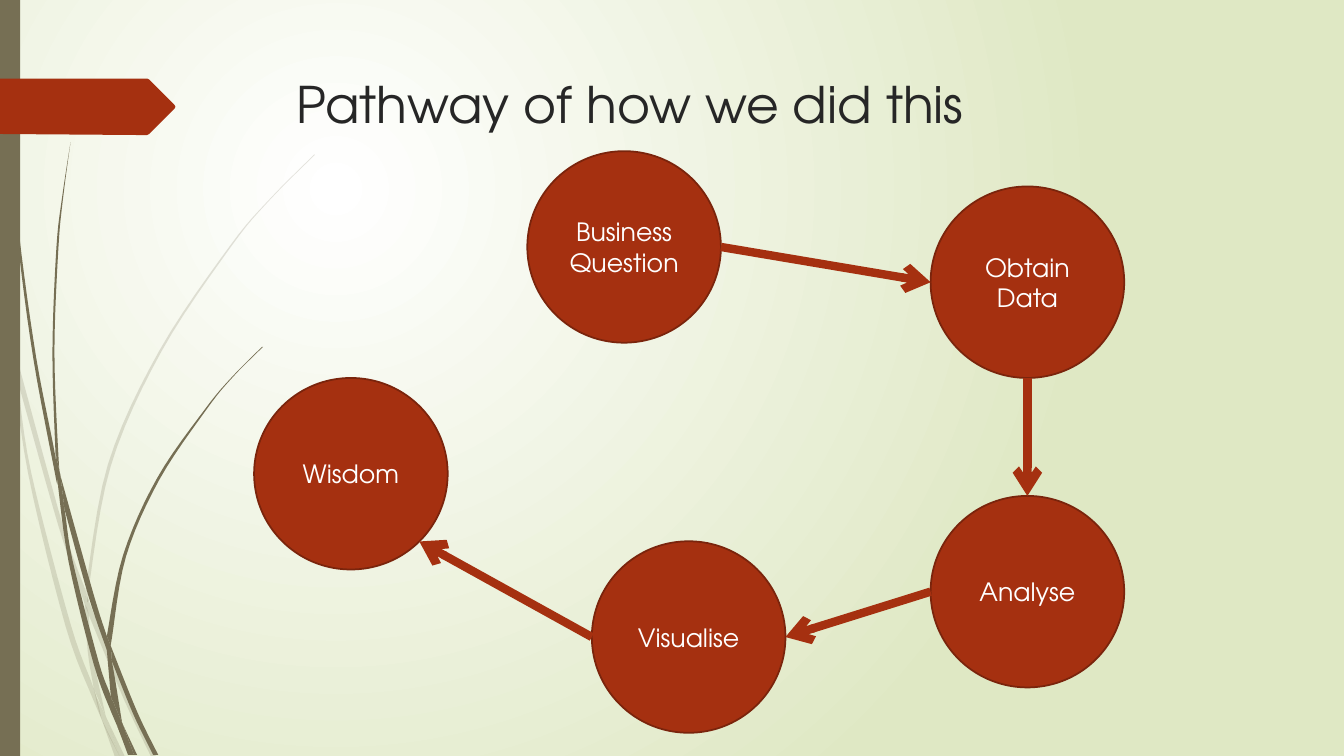
from math import cos, radians, sin

from lxml.etree import SubElement
from pptx import Presentation
from pptx.dml.color import RGBColor
from pptx.enum.shapes import MSO_CONNECTOR as Connector, MSO_SHAPE as Shape
from pptx.enum.text import MSO_ANCHOR as Anchor, PP_ALIGN as Align
from pptx.oxml.ns import qn
from pptx.util import Inches, Pt

FONT = "TeX Gyre Adventor"
COLORS = {
    "white": "FFFFFF", "pale green": "DFE8C4", "olive": "766F54",
    "rust": "A53010", "dark rust": "7A240C", "title": "262626",
}
CIRCLE_WIDTH, CIRCLE_HEIGHT = 1.92, 1.9
RIGHT, BOTTOM_RIGHT, BOTTOM, LEFT, TOP = 0, 45, 90, 180, 270

# Circles: left, top, paragraphs; a vertical tab is a line break
STEPS = {
    "question": (5.23, 1.5, ["Business", "Question"]),
    "data": (9.23, 1.85, ["Obtain\vData"]),
    "analyse": (9.23, 4.92, ["Analyse"]),
    "visualise": (5.87, 5.37, ["Visualise"]),
    "wisdom": (2.52, 3.75, ["Wisdom"]),
}
# Arrows: circle and angle where each starts and ends
ARROWS = [
    ("question", RIGHT, "data", LEFT),
    ("data", BOTTOM, "analyse", TOP),
    ("analyse", LEFT, "visualise", RIGHT),
    ("visualise", LEFT, "wisdom", BOTTOM_RIGHT),
]
# Grass blades: one edge, then the other edge back to the start
FAINT_BLADES = [
    ([(0, 2.82), (.09, 3.22), (.11, 3.5)], [(.1, 3.44), (0, 2.99)]),
    ([(.14, 3.45), (.62, 5.2), (.85, 5.86)], [(.84, 5.99), (.58, 5.22), (.17, 3.76)]),
    ([(.88, 5.96), (1.27, 6.92), (1.55, 7.51)], [(1.5, 7.51), (1.23, 6.94), (.88, 6.1)]),
    ([(1.05, 7.11), (1.24, 7.51)], [(1.19, 7.51)]),
    ([(.11, 3.5), (.17, 3.76), (.31, 4.69), (.7, 6.19), (.93, 6.83), (1.01, 7.14)],
     [(.92, 6.93), (.65, 6.21), (.28, 4.7), (.11, 3.5)]),
    ([(.84, 5.99), (.88, 6.1), (.91, 6.46), (1.05, 7.11)], [(.93, 6.83), (.87, 6.46), (.84, 5.99)]),
    ([(.88, 5.96), (.88, 5.84), (1.1, 4.62), (1.6, 3.49), (2.29, 2.45), (2.68, 1.98), (3.12, 1.54)],
     [(3.12, 1.53), (2.68, 1.97), (2.28, 2.44), (1.58, 3.48), (1.07, 4.61), (.85, 5.84)]),
    ([(1.01, 7.14), (1.14, 7.51)], [(1.19, 7.51), (1.01, 7.14)]),
    ([(.84, 5.99), (.88, 6.1)], [(.88, 5.96), (.85, 5.86)]),
    ([(.93, 6.83), (1.01, 7.14), (1.19, 7.51)], [(1.05, 7.11), (.96, 6.92)]),
]
DARK_BLADES = [
    ([(.04, 0), (.05, .48), (.08, 1.09), (.19, 2.32), (.36, 3.55), (.55, 4.53), (.57, 4.81)],
     [(.56, 4.77), (.33, 3.55), (.17, 2.33), (.07, 1.1), (.04, .48), (.03, 0)]),
    ([(.6, 4.72), (.93, 5.9), (1.06, 6.31)], [(1.06, 6.45), (.88, 5.92), (.64, 5.05)]),
    ([(1.1, 6.41), (1.36, 7.06), (1.57, 7.49)], [(1.52, 7.49), (1.32, 7.08), (1.11, 6.56)]),
    ([(.57, 4.77), (.64, 5.05), (.72, 5.56), (.98, 6.57), (1.1, 6.91), (1.17, 7.22)],
     [(1.11, 7.08), (.93, 6.59), (.68, 5.57), (.57, 4.77)]),
    ([(.7, 1.41), (.63, 1.93), (.58, 2.45), (.54, 3.49), (.58, 4.53), (.6, 4.72)],
     [(.55, 4.49), (.52, 3.49), (.56, 2.45), (.62, 1.93), (.7, 1.41)]),
    ([(1.22, 7.19), (1.36, 7.49)], [(1.33, 7.49)]),
    ([(.55, 4.49), (.57, 4.77), (.64, 5.05)], [(.6, 4.72)]),
    ([(1.1, 6.41), (1.11, 6.33), (1.25, 5.52), (1.58, 4.76), (2.05, 4.06), (2.31, 3.74), (2.61, 3.44)],
     [(2.6, 3.44), (2.31, 3.73), (2.04, 4.05), (1.56, 4.74), (1.22, 5.51), (1.06, 6.31)]),
    ([(1.17, 7.22), (1.27, 7.49)], [(1.31, 7.49)]),
    ([(1.06, 6.45), (1.11, 6.56), (1.21, 7.16), (1.22, 7.19)], [(1.1, 6.91), (1.06, 6.45)]),
    ([(1.06, 6.31), (1.06, 6.45)], [(1.11, 6.56), (1.1, 6.41)]),
    ([(1.1, 6.91), (1.17, 7.22), (1.3, 7.49)], [(1.33, 7.49), (1.22, 7.19)]),
]
TAB = [(0, .78), (1.46, .78), (1.48, .79), (1.73, 1.04), (1.74, 1.06),
       (1.73, 1.08), (1.48, 1.33), (1.46, 1.34), (1.36, 1.34), (0, 1.33)]


def rgb(name):
    return RGBColor.from_string(COLORS[name])


def paint(shape, color, outline=None):
    shape.shadow.inherit = False
    shape.fill.solid()
    shape.fill.fore_color.rgb = rgb(color)
    if outline:
        shape.line.color.rgb = rgb(outline)
        shape.line.width = Pt(1.25)
    else:
        shape.line.fill.background()


def add_run(paragraph, text, size, color):
    run = paragraph.add_run()
    run.text = text
    run.font.name = FONT
    run.font.size = Pt(size)
    run.font.color.rgb = rgb(color)


def set_background(slide):
    fill = slide.background.fill
    fill.gradient()
    for stop, color in zip(fill.gradient_stops, ("white", "pale green")):
        stop.color.rgb = rgb(color)
    linear = slide.element.find(".//" + qn("a:lin"))
    gradient = linear.getparent()
    gradient.remove(linear)
    radial = SubElement(gradient, qn("a:path"), path="circle")
    SubElement(radial, qn("a:fillToRect"), l="50000", t="50000", r="100000", b="100000")


def smooth(edge, steps=6):
    """Catmull-Rom curve through the points of an edge."""
    if len(edge) < 3:
        return edge
    padded = [edge[0], *edge, edge[-1]]
    curve = [edge[0]]
    for a, b, c, d in zip(padded, padded[1:], padded[2:], padded[3:]):
        for step in range(1, steps + 1):
            t = step / steps
            curve.append(tuple(
                q + t * (r - p) / 2 + t**2 * (2 * p - 5 * q + 4 * r - s) / 2
                + t**3 * (3 * q - p - 3 * r + s) / 2
                for p, q, r, s in zip(a, b, c, d)))
    return curve


def add_outline(shapes, points, color):
    points = [(Inches(x), Inches(y)) for x, y in points]
    builder = shapes.build_freeform(*points[0])
    builder.add_line_segments(points[1:])
    shape = builder.convert_to_shape()
    paint(shape, color)
    return shape


def add_grass(slide, blades, opacity=100):
    group = slide.shapes.add_group_shape()
    for edge, other_edge in blades:
        blade = add_outline(group.shapes, smooth(edge) + smooth(other_edge), "olive")
        if opacity < 100:
            color = blade.element.spPr.find(qn("a:solidFill"))[0]
            SubElement(color, qn("a:alpha"), val=str(opacity * 1000))


def add_title(slide, text):
    box = slide.shapes.add_textbox(Inches(2.84), Inches(.68), Inches(9.75), Inches(1.4))
    box.text_frame.word_wrap = True
    add_run(box.text_frame.paragraphs[0], text, 36, "title")


def add_circle(slide, left, top, paragraphs):
    circle = slide.shapes.add_shape(Shape.OVAL, Inches(left), Inches(top),
                                    Inches(CIRCLE_WIDTH), Inches(CIRCLE_HEIGHT))
    paint(circle, "rust", "dark rust")
    frame = circle.text_frame
    frame.word_wrap = True
    frame.vertical_anchor = Anchor.MIDDLE
    for index, text in enumerate(paragraphs):
        paragraph = frame.add_paragraph() if index else frame.paragraphs[0]
        paragraph.alignment = Align.CENTER
        for number, line in enumerate(text.split("\v")):
            if number:
                paragraph.add_line_break()
            add_run(paragraph, line, 18, "white")


def rim_point(step, angle):
    left, top, _ = STEPS[step]
    return (Inches(left + CIRCLE_WIDTH / 2 * (1 + cos(radians(angle)))),
            Inches(top + CIRCLE_HEIGHT / 2 * (1 + sin(radians(angle)))))


def add_arrow(slide, start, start_angle, end, end_angle):
    arrow = slide.shapes.add_connector(
        Connector.STRAIGHT, *rim_point(start, start_angle), *rim_point(end, end_angle))
    arrow.line.color.rgb = rgb("rust")
    arrow.line.width = Pt(6)
    SubElement(arrow.line._get_or_add_ln(), qn("a:tailEnd"), type="arrow")
    SubElement(arrow.element.spPr, qn("a:effectLst"))


def main():
    presentation = Presentation()
    presentation.slide_width, presentation.slide_height = Inches(13.33), Inches(7.5)
    slide = presentation.slides.add_slide(presentation.slide_layouts[6])

    # Backdrop
    set_background(slide)
    add_grass(slide, FAINT_BLADES, opacity=20)
    add_grass(slide, DARK_BLADES)
    side_bar = slide.shapes.add_shape(Shape.RECTANGLE, 0, 0, Inches(.2), Inches(7.5))
    paint(side_bar, "olive")
    add_outline(slide.shapes, TAB, "rust")

    # Title and pathway
    add_title(slide, "Pathway of how we did this")
    for step in STEPS.values():
        add_circle(slide, *step)
    for arrow in ARROWS:
        add_arrow(slide, *arrow)

    presentation.save("out.pptx")


if __name__ == "__main__":
    main()
